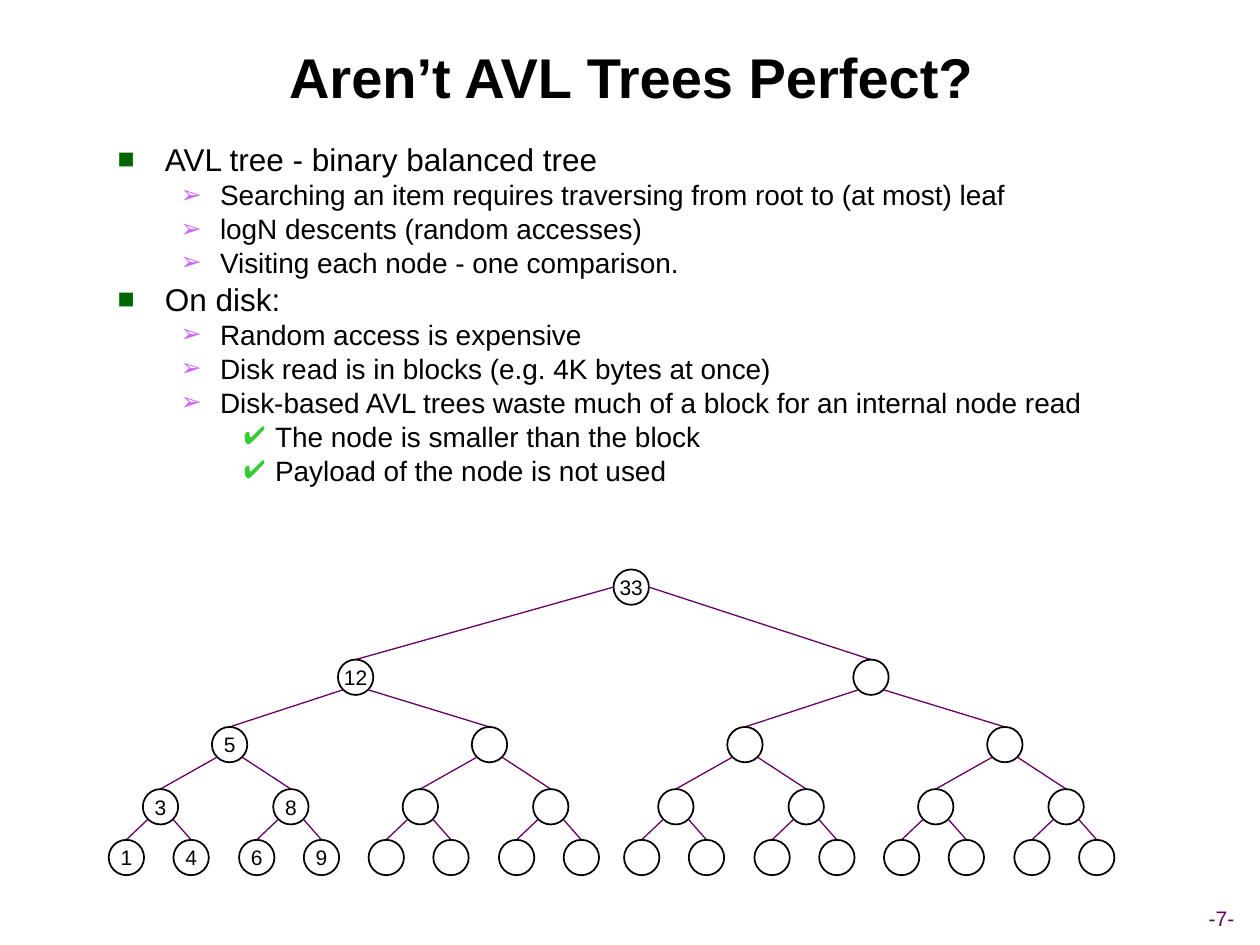
from dataclasses import dataclass
from typing import NamedTuple

from lxml.etree import SubElement
from pptx import Presentation
from pptx.dml.color import RGBColor as Rgb
from pptx.enum.shapes import MSO_CONNECTOR as Connector, MSO_SHAPE as Preset
from pptx.enum.text import MSO_ANCHOR as Anchor, MSO_AUTO_SIZE as AutoSize, PP_ALIGN as Align
from pptx.oxml.ns import qn
from pptx.util import Pt


@dataclass(frozen=True)
class Theme:
    font: str = "Arial"
    ink: str = "000000"
    accent: str = "660066"
    title_size: float = 32
    small_size: float = 12
    node_line: float = 1
    edge_line: float = 0.75


class BulletStyle(NamedTuple):
    mark: str
    color: str
    size: float
    margin: float
    hanging: float
    space: float


class Tier(NamedTuple):
    """Height of one tree level and the x offsets to its nodes' children."""
    y: float
    left: float = 0
    right: float = 0


THEME = Theme()
BULLETS = (
    BulletStyle("■", "006600", 18, 27, 27, 4.5),
    BulletStyle("➢", "CC66FF", 16, 58.5, 22.5, 4),
    BulletStyle("✔", "33CC33", 16, 90, 18, 4),
)
POINTS = (
    (0, "AVL tree - binary balanced tree"),
    (1, "Searching an item requires traversing from root to (at most) leaf"),
    (1, "logN descents (random accesses)"),
    (1, "Visiting each node - one comparison."),
    (0, "On disk:"),
    (1, "Random access is expensive"),
    (1, "Disk read is in blocks (e.g. 4K bytes at once)"),
    (1, "Disk-based AVL trees waste much of a block for an internal node read"),
    (2, "The node is smaller than the block"),
    (2, "Payload of the node is not used"),
)
TIERS = (
    Tier(335.5, -157.5, 137),
    Tier(387, -72, 76.5),
    Tier(425.5, -39.5, 35),
    Tier(461, -19.5, 17.5),
    Tier(490),
)
ROOT_X = 360.7
RADIUS = 10.1
DIAGONAL = 7.2
# Keys by path from the root: L and R are the turns taken
KEYS = {"": "33", "L": "12", "LL": "5", "LLL": "3", "LLR": "8",
        "LLLL": "1", "LLLR": "4", "LLRL": "6", "LLRR": "9"}


def write(paragraph, text: str, *, size: float, color: str = THEME.ink,
          bold: bool = False, align=Align.CENTER) -> None:
    paragraph.alignment = align
    run = paragraph.add_run()
    run.text = text
    run.font.name = THEME.font
    run.font.size = Pt(size)
    run.font.bold = bold
    run.font.color.rgb = Rgb.from_string(color)


def place(shape, left: float, top: float, width: float, height: float) -> None:
    shape.left, shape.top, shape.width, shape.height = map(Pt, (left, top, width, height))


def add_bullet(paragraph, style: BulletStyle) -> None:
    props = paragraph._p.get_or_add_pPr()
    props.set("marL", str(Pt(style.margin)))
    props.set("indent", str(-Pt(style.hanging)))
    color = SubElement(props, qn("a:buClr"))
    SubElement(color, qn("a:srgbClr"), val=style.color)
    SubElement(props, qn("a:buSzPct"), val="90000")
    SubElement(props, qn("a:buChar"), char=style.mark)


def fill_body(body) -> None:
    frame = body.text_frame
    frame.auto_size = AutoSize.NONE
    for index, (level, text) in enumerate(POINTS):
        style = BULLETS[level]
        paragraph = frame.add_paragraph() if index else frame.paragraphs[0]
        paragraph.level = level
        paragraph.line_spacing = 0.8
        paragraph.space_before = Pt(style.space if index else 0)
        add_bullet(paragraph, style)
        write(paragraph, text, size=style.size, align=Align.LEFT)


def add_edge(shapes, x1: float, y1: float, x2: float, y2: float) -> None:
    edge = shapes.add_connector(Connector.STRAIGHT, Pt(x1), Pt(y1), Pt(x2), Pt(y2))
    edge.line.color.rgb = Rgb.from_string(THEME.accent)
    edge.line.width = Pt(THEME.edge_line)
    SubElement(edge._element.spPr, qn("a:effectLst"))


def add_node(shapes, x: float, y: float, key: str) -> None:
    node = shapes.add_shape(Preset.OVAL, Pt(x - RADIUS), Pt(y - RADIUS),
                            Pt(2 * RADIUS), Pt(2 * RADIUS))
    node.shadow.inherit = False
    node.fill.background()
    node.line.color.rgb = Rgb.from_string(THEME.ink)
    node.line.width = Pt(THEME.node_line)
    if key:
        frame = node.text_frame
        frame.word_wrap = False
        frame.vertical_anchor = Anchor.MIDDLE
        frame.margin_left = frame.margin_right = frame.margin_top = frame.margin_bottom = 0
        write(frame.paragraphs[0], key, size=THEME.small_size)


def add_subtree(shapes, x: float, turns: str = "") -> None:
    """Draw the node reached by these turns, then everything below it."""
    depth = len(turns)
    tier = TIERS[depth]
    add_node(shapes, x, tier.y, KEYS.get(turns, ""))
    if depth + 1 == len(TIERS):
        return
    # Edges leave the root sideways, other nodes diagonally
    out, down = (DIAGONAL, DIAGONAL) if depth else (RADIUS, 0)
    for turn, sign, offset in (("L", -1, tier.left), ("R", 1, tier.right)):
        child_x = x + offset
        add_edge(shapes, x + sign * out, tier.y + down,
                 child_x, TIERS[depth + 1].y - RADIUS)
        add_subtree(shapes, child_x, turns + turn)


def main() -> None:
    deck = Presentation()
    deck.slide_width, deck.slide_height = Pt(720), Pt(540)
    slide = deck.slides.add_slide(deck.slide_layouts[1])
    shapes = slide.shapes

    title = shapes.title
    place(title, 27, 14.5, 667.5, 58.5)
    title.text_frame.auto_size = AutoSize.NONE
    title.text_frame.vertical_anchor = Anchor.MIDDLE
    write(title.text_frame.paragraphs[0], "Aren’t AVL Trees Perfect?",
          size=THEME.title_size, bold=True)

    body = slide.placeholders[1]
    place(body, 60, 80.5, 603.5, 201)
    fill_body(body)

    add_subtree(shapes, ROOT_X)

    page_number = shapes.add_textbox(Pt(676), Pt(514), Pt(44), Pt(21.5))
    page_number.text_frame.word_wrap = False
    page_number.text_frame.vertical_anchor = Anchor.MIDDLE
    write(page_number.text_frame.paragraphs[0], "-7-",
          size=THEME.small_size, color=THEME.accent)

    deck.save("out.pptx")


if __name__ == "__main__":
    main()
